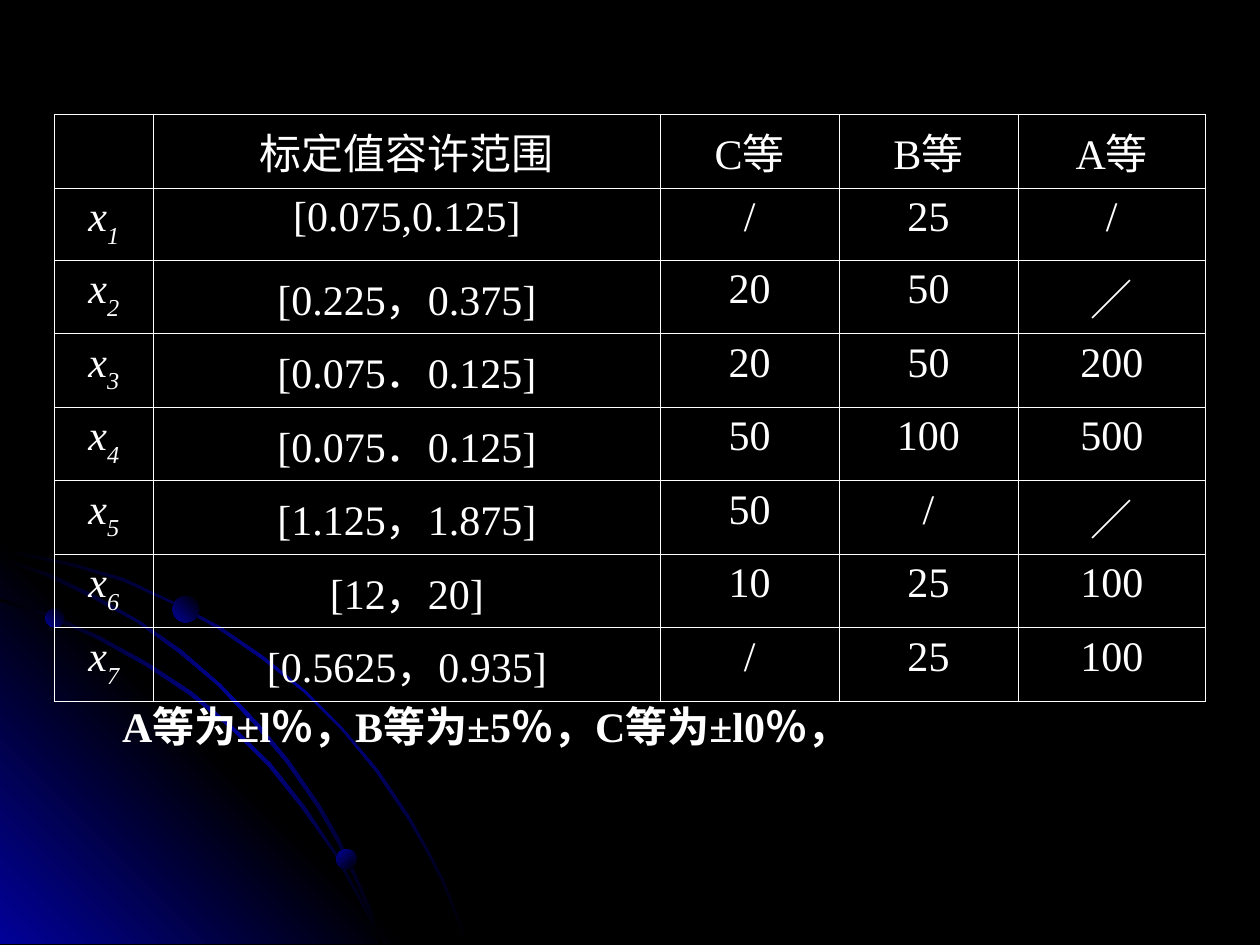
import pptx
import pptx.dml.color
import pptx.enum.shapes
import pptx.enum.text
import pptx.oxml
import pptx.oxml.ns
import pptx.util

THEME = {
    "background": "000000",
    "glow": "010199",
    "text": "FFFFFF",
    "border": "FFFFFF",
    "border_width": 0.45,
    "font": "Times New Roman",
    "size": 24,
}
NS = pptx.oxml.ns.nsdecls("a")

prs = pptx.Presentation()
prs.slide_width = pptx.util.Inches(10)
prs.slide_height = pptx.util.Inches(7.5)
U = prs.slide_width // 1000  # grid unit: the slide is 1000 columns by 750 rows
slide = prs.slides.add_slide(prs.slide_layouts[6])
fill = slide.background.fill
fill.solid()
fill.fore_color.rgb = pptx.dml.color.RGBColor.from_string(THEME["background"])


def paint_gradient(sp, names, angle):
    """Fill a shape with evenly spaced theme colours and no outline."""
    stops = "".join(
        f'<a:gs pos="{100000 * i // (len(names) - 1)}"><a:srgbClr val="{THEME[name]}"/></a:gs>'
        for i, name in enumerate(names))
    sp.fill.background()
    old = sp._element.spPr.find(pptx.oxml.ns.qn("a:noFill"))
    old.getparent().replace(old, pptx.oxml.parse_xml(
        f'<a:gradFill {NS} rotWithShape="1"><a:gsLst>{stops}</a:gsLst>'
        f'<a:lin ang="{angle * 60000}" scaled="0"/></a:gradFill>'))
    sp.line.fill.background()
    sp.shadow.inherit = False


def style_runs(p, bold=False):
    """Give every run of a paragraph the theme's type."""
    for r in p.runs:
        r.font.name = THEME["font"]
        r.font.size = pptx.util.Pt(THEME["size"])
        r.font.bold = bold
        r.font.color.rgb = pptx.dml.color.RGBColor.from_string(THEME["text"])


# Corner glow and the three arcs, back to front
ARC = (("background", "glow", "background"), 225)
GLOW = (("glow", "background", "glow"), 135)
outlines = [
    (ARC, [(57, 447), (28, 441), (0, 435), (0, 438), (28, 443), (56, 449), (97, 461),
           (135, 478), (173, 499), (208, 523), (241, 549), (271, 579), (298, 612),
           (323, 649), (337, 673), (350, 698), (360, 723), (370, 749), (372, 749),
           (362, 723), (352, 698), (339, 673), (325, 648), (300, 611), (272, 578),
           (242, 548), (209, 521), (174, 497), (136, 477), (98, 459)]),
    (GLOW, [(322, 749), (0, 749), (0, 427)]),
    (ARC, [(285, 714), (294, 732), (301, 749), (303, 749), (296, 730), (286, 712),
           (266, 676), (242, 640), (215, 606), (184, 576), (152, 549), (117, 526),
           (79, 505), (41, 488), (0, 475), (0, 477), (39, 490), (77, 507), (115, 528),
           (150, 551), (183, 578), (213, 608), (240, 642), (265, 677)]),
    (ARC, [(0, 442), (0, 444), (36, 457), (74, 475), (109, 494), (142, 518), (173, 544),
           (202, 575), (227, 605), (252, 641), (267, 667), (280, 694), (292, 722),
           (301, 749), (303, 749), (294, 720), (282, 693), (269, 665), (254, 639),
           (229, 603), (204, 573), (175, 543), (144, 516), (111, 493), (76, 473),
           (39, 455)]),
]
for (names, angle), points in outlines:
    builder = slide.shapes.build_freeform(*points[0], scale=U)
    builder.add_line_segments(points[1:], close=True)
    paint_gradient(builder.convert_to_shape(), names, angle)

# Beads on the arcs
for left, top, size, angle in [(36, 483, 15, 135), (267, 674, 16, 225), (137, 473, 21, 135)]:
    sp = slide.shapes.add_shape(pptx.enum.shapes.MSO_SHAPE.OVAL,
                                left * U, top * U, size * U, size * U)
    paint_gradient(sp, ("background", "glow"), angle)

# Table of calibration ranges
header = ["", "标定值容许范围", "C等", "B等", "A等"]
body = [
    ["[0.075,0.125]", "/", "25", "/"],
    ["[0.225，0.375]", "20", "50", "／"],
    ["[0.075．0.125]", "20", "50", "200"],
    ["[0.075．0.125]", "50", "100", "500"],
    ["[1.125，1.875]", "50", "/", "／"],
    ["[12，20]", "10", "25", "100"],
    ["[0.5625，0.935]", "/", "25", "100"],
]
rows = [header] + [["x"] + values for values in body]
col_widths = [79, 402, 142, 142, 149]
row_heights = [50] + [57] * len(body)
table = slide.shapes.add_table(len(rows), len(header), 43 * U, 91 * U,
                               sum(col_widths) * U, sum(row_heights) * U).table
table.first_row = False
table.horz_banding = False
for column, width in zip(table.columns, col_widths):
    column.width = width * U
for row, height in zip(table.rows, row_heights):
    row.height = height * U

for i, values in enumerate(rows):
    for j, value in enumerate(values):
        cell = table.cell(i, j)
        cell.fill.background()
        tcPr = cell._tc.get_or_add_tcPr()
        for k, side in enumerate(("lnL", "lnR", "lnT", "lnB")):
            tcPr.insert(k, pptx.oxml.parse_xml(
                f'<a:{side} {NS} w="{int(pptx.util.Pt(THEME["border_width"]))}"><a:solidFill>'
                f'<a:srgbClr val="{THEME["border"]}"/></a:solidFill></a:{side}>'))
        p = cell.text_frame.paragraphs[0]
        p.alignment = pptx.enum.text.PP_ALIGN.CENTER
        if not value:
            continue
        p.text = value
        if i and j == 0:  # variable name with its subscript
            r = p.add_run()
            r.text = str(i)
            r.font._element.set("baseline", "-30000")
            for r in p.runs:
                r.font.italic = True
        style_runs(p)

# Accuracy note under the table
sp = slide.shapes.add_textbox(87 * U, 551 * U, 692 * U, 50 * U)
tf = sp.text_frame
tf.word_wrap = False
tf.auto_size = pptx.enum.text.MSO_AUTO_SIZE.SHAPE_TO_FIT_TEXT
tf.vertical_anchor = pptx.enum.text.MSO_ANCHOR.MIDDLE
tf.text = "A等为±l％，B等为±5％，C等为±l0％，"
style_runs(tf.paragraphs[0], bold=True)

prs.save("out.pptx")
